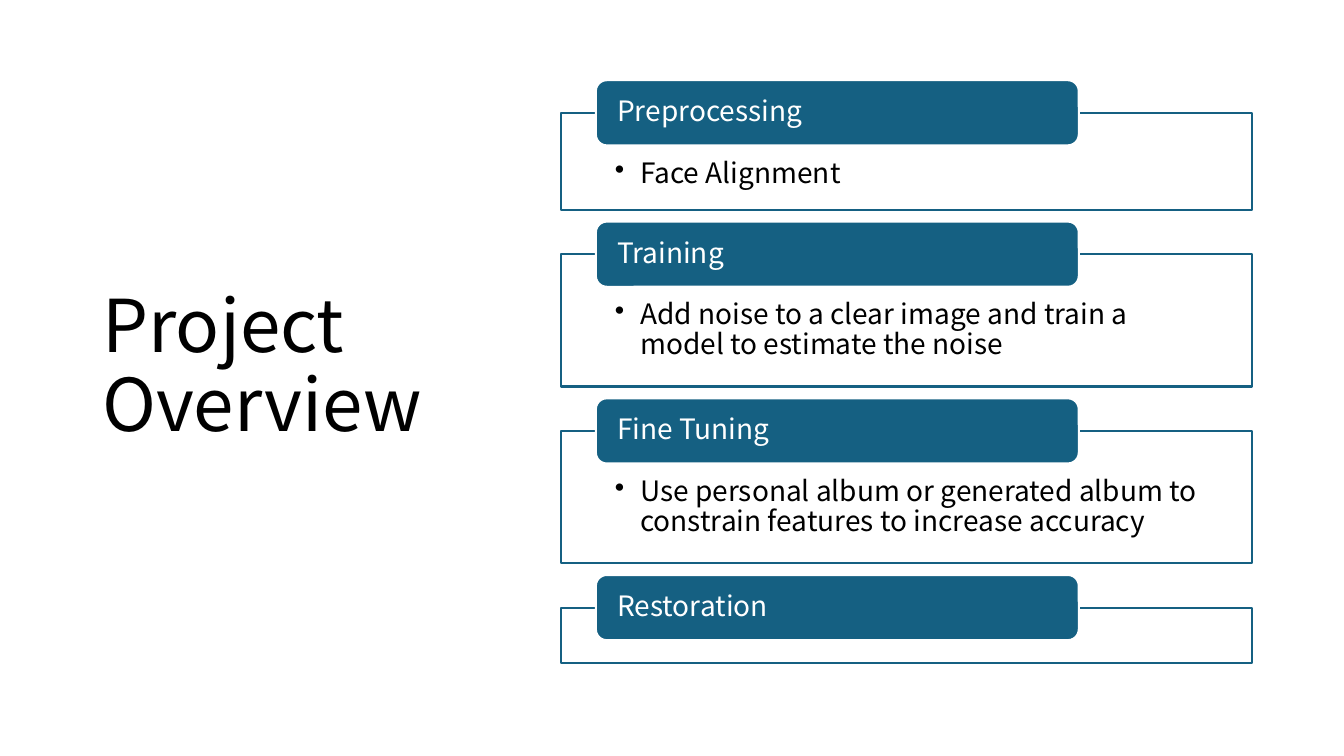
"""Build the Project Overview slide: a title beside four stacked stages."""
import pptx
import pptx.util
import pptx.dml.color
import pptx.enum.shapes
import pptx.enum.text
import pptx.oxml.ns
import lxml.etree

Pt = pptx.util.Pt
FONT = "Noto Sans CJK SC"
TEAL, WHITE, BLACK = "156082", "FFFFFF", "000000"
BOX_LEFT, BOX_WIDTH = 401, 493.2
TAB_LEFT, TAB_WIDTH, TAB_HEIGHT = 425.6, 345, 46.6
FIRST_TOP, STAGE_GAP = 80.6, 31.7
STAGES = [
    ("Preprocessing", "Face Alignment", 69.3),
    ("Training", "Add noise to a clear image and train a model to estimate the noise", 94.5),
    ("Fine Tuning", "Use personal album or generated album to constrain features to increase accuracy", 94.5),
    ("Restoration", "", 39.7),
]


def rgb(value):
    """Turn a hex string into a colour."""
    return pptx.dml.color.RGBColor.from_string(value)


def add_panel(slide, preset, bounds, fill, line):
    """Add a filled, outlined shape without a shadow."""
    panel = slide.shapes.add_shape(preset, *(Pt(length) for length in bounds))
    panel.shadow.inherit = False
    panel.fill.solid()
    panel.fill.fore_color.rgb = rgb(fill)
    panel.line.color.rgb = rgb(line)
    panel.line.width = Pt(1.5)
    return panel


def set_opacity(panel, percent):
    """Make the solid fill of a panel partly transparent."""
    colour = panel.fill._xPr.find(".//" + pptx.oxml.ns.qn("a:srgbClr"))
    lxml.etree.SubElement(colour, pptx.oxml.ns.qn("a:alpha"), val=str(percent * 1000))


def set_bullet(paragraph):
    """Give a paragraph a round bullet with a hanging indent."""
    properties = paragraph._p.get_or_add_pPr()
    properties.set("marL", str(Pt(18)))
    properties.set("indent", str(-Pt(18)))
    lxml.etree.SubElement(properties, pptx.oxml.ns.qn("a:buChar"), char="•")


def write(frame, text, size, colour, anchor, insets, bulleted=False):
    """Write one left-aligned paragraph into a text frame."""
    frame.word_wrap = True
    frame.auto_size = pptx.enum.text.MSO_AUTO_SIZE.NONE
    frame.vertical_anchor = anchor
    frame.margin_left, frame.margin_top, frame.margin_right, frame.margin_bottom = map(Pt, insets)
    frame.text = text
    paragraph = frame.paragraphs[0]
    if bulleted:
        set_bullet(paragraph)
    paragraph.alignment = pptx.enum.text.PP_ALIGN.LEFT
    paragraph.line_spacing = 0.9
    paragraph.font.name = FONT
    paragraph.font.size = Pt(size)
    paragraph.font.color.rgb = rgb(colour)


def add_title(slide, text):
    """Place and format the title placeholder."""
    title = slide.shapes.title
    title.left, title.top, title.width, title.height = map(Pt, (66, 44, 266, 438))
    write(title.text_frame, text, 52, BLACK, pptx.enum.text.MSO_ANCHOR.MIDDLE, (7.2, 3.6, 7.2, 3.6))


def add_stage(slide, heading, detail, top, height):
    """Add an outlined detail box with a heading tab over its top edge."""
    shapes = pptx.enum.shapes.MSO_SHAPE
    anchors = pptx.enum.text.MSO_ANCHOR
    box = add_panel(slide, shapes.RECTANGLE, (BOX_LEFT, top, BOX_WIDTH, height), WHITE, TEAL)
    set_opacity(box, 90)
    if detail:
        write(box.text_frame, detail, 20, BLACK, anchors.TOP, (38.3, 33, 38.3, 11.4), bulleted=True)
    tab_bounds = (TAB_LEFT, top - TAB_HEIGHT / 2, TAB_WIDTH, TAB_HEIGHT)
    tab = add_panel(slide, shapes.ROUNDED_RECTANGLE, tab_bounds, TEAL, WHITE)
    write(tab.text_frame, heading, 20, WHITE, anchors.MIDDLE, (13, 0, 13, 0))


def main():
    """Build and save the slide."""
    deck = pptx.Presentation()
    deck.slide_width, deck.slide_height = Pt(960), Pt(540)
    slide = deck.slides.add_slide(deck.slide_layouts.get_by_name("Title Only"))
    add_title(slide, "Project Overview")
    top = FIRST_TOP
    for heading, detail, height in STAGES:
        add_stage(slide, heading, detail, top, height)
        top += height + STAGE_GAP
    deck.save("out.pptx")


if __name__ == "__main__":
    main()
